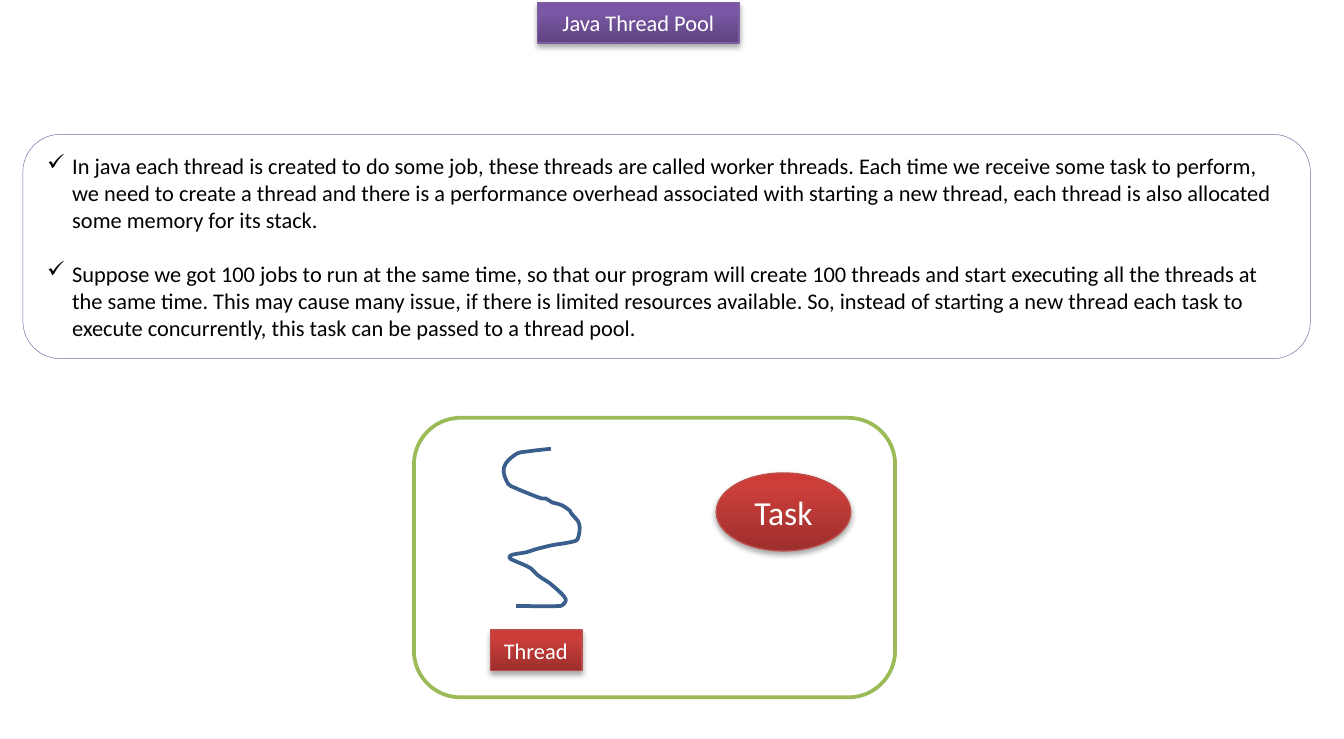
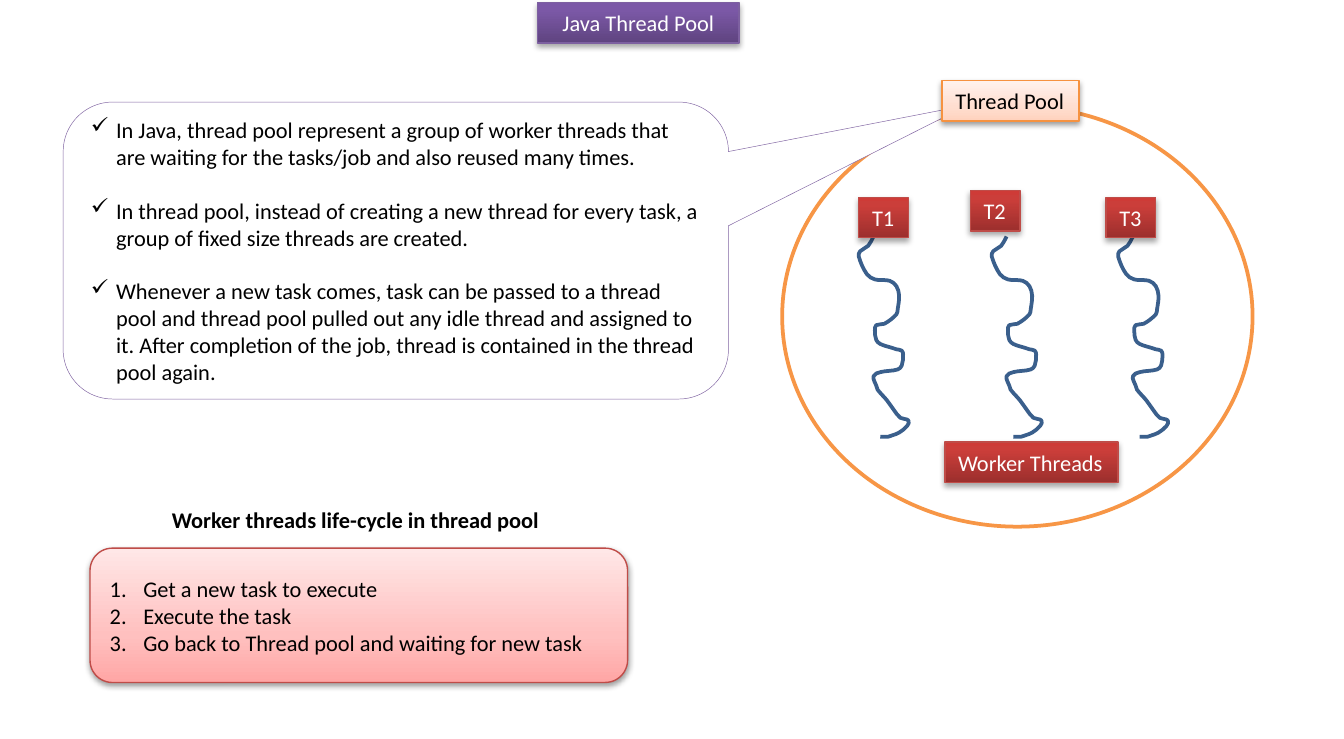
from math import hypot

from lxml.etree import SubElement
from pptx import Presentation
from pptx.dml.color import RGBColor
from pptx.enum.shapes import MSO_SHAPE as SHAPE
from pptx.enum.text import MSO_ANCHOR as ANCHOR, MSO_AUTO_SIZE as FIT, PP_ALIGN as ALIGN
from pptx.oxml.ns import qn
from pptx.util import Inches, Pt

FONT = "Calibri"
COLORS = {
    "white": "FFFFFF", "black": "000000", "thread": "3A5F8C",
    "green": "9BBB59", "orange": "F79646", "violet": "8064A2",
}

# Glossy looks: gradient stops from bottom to top, edge, text, shadow
LOOKS = {
    "purple": {"stops": [(0, "5F4480"), (80, "7B58A6"), (100, "7C57A8")],
               "edge": "7D60A0", "text": "white", "alpha": 35, "drop": 1.8},
    "red": {"stops": [(0, "9C2F2D"), (80, "CB3E3A"), (100, "CE3B37")],
            "edge": "BF4C48", "text": "white", "alpha": 35, "drop": 1.8},
    "peach": {"stops": [(0, "FFD2BD"), (35, "FFDED0"), (100, "FFF2ED")],
              "edge": "F69240", "text": "black", "alpha": 38, "drop": 1.6},
    "pink": {"stops": [(0, "FFA6A5"), (35, "FFC0BF"), (100, "FFE7E7")],
             "edge": "BF4C48", "text": "black", "alpha": 38, "drop": 1.6},
}

# Bullets: XML elements with their attributes, indent and gap in points
CHECK = {"marks": {"a:buFont": {"typeface": "OpenSymbol"}, "a:buChar": {"char": "✓"}},
         "indent": 13.5, "gap": 14.4}
NUMBER = {"marks": {"a:buAutoNum": {"type": "arabicPeriod"}}, "indent": 18, "gap": 0}

# Thread outlines, in inches from their top left corner
SINGLE_THREAD = [
    (.35, 0), (.18, .02), (.09, .04), (0, .14), (.03, .26), (.08, .29), (.2, .34),
    (.28, .37), (.31, .37), (.36, .4), (.4, .41), (.43, .42), (.49, .46), (.5, .48),
    (.56, .56), (.55, .67), (.52, .69), (.35, .72), (.23, .75), (.17, .77), (.06, .79),
    (.04, .81), (.07, .83), (.14, .86), (.2, .89), (.25, .94), (.31, .98), (.34, 1),
    (.42, 1.07), (.46, 1.12), (.45, 1.15), (.42, 1.17), (.09, 1.17)]
WORKER_THREAD = [
    (.11, 0), (.07, .07), (.01, .11), (0, .15), (.06, .28), (.12, .32), (.23, .33),
    (.28, .37), (.3, .44), (.29, .54), (.28, .58), (.19, .65), (.13, .66), (.12, .7),
    (.13, .77), (.16, .8), (.25, .83), (.28, .84), (.32, .85), (.33, .88), (.32, .96),
    (.29, .99), (.16, 1.01), (.11, 1.04), (.13, 1.11), (.14, 1.14), (.21, 1.22),
    (.26, 1.29), (.31, 1.35), (.37, 1.37), (.36, 1.41), (.3, 1.46), (.25, 1.48),
    (.22, 1.49), (.16, 1.49)]

OVERHEAD_POINTS = [
    "In java each thread is created to do some job, these threads are called worker threads. "
    "Each time we receive some task to perform, we need to create a thread and there is a "
    "performance overhead associated with starting a new thread, each thread is also "
    "allocated some memory for its stack.",
    "Suppose we got 100 jobs to run at the same time, so that our program will create 100 "
    "threads and start executing all the threads at the same time. This may cause many issue, "
    "if there is limited resources available. So, instead of starting a new thread each task "
    "to execute concurrently, this task can be passed to a thread pool.",
]
POOL_POINTS = [
    "In Java, thread pool represent a group of worker threads that are waiting for the "
    "tasks/job and also reused many times.",
    "In thread pool, instead of creating a new thread for every task, a group of fixed size "
    "threads are created.",
    "Whenever a new task comes, task can be passed to a thread pool and thread pool pulled out "
    "any idle thread and assigned to it. After completion of the job, thread is contained in "
    "the thread pool again.",
]
LIFE_CYCLE = [
    "Get a new task to execute",
    "Execute the task",
    "Go back to Thread pool and waiting for new task",
]


def set_all(target, values):
    for key, value in values.items():
        setattr(target, key, value)


def rgb(name):
    return RGBColor.from_string(COLORS.get(name, name))


def inches(box):
    return [Inches(length) for length in box]


def within(box, left, top, width, height):
    return box[0] + left, box[1] + top, width, height


def set_edge(shape, color, weight):
    shape.line.color.rgb = rgb(color)
    shape.line.width = Pt(weight)


def add_outlined(slide, kind, box, color, weight):
    """White shape with a plain outline."""
    shape = slide.shapes.add_shape(kind, *inches(box))
    shape.shadow.inherit = False
    shape.fill.solid()
    shape.fill.fore_color.rgb = rgb("white")
    set_edge(shape, color, weight)
    return shape


def add_glossy(slide, kind, box, look):
    """Shape with a gradient, a thin edge and a soft shadow."""
    shape = add_outlined(slide, kind, box, look["edge"], 0.75)
    shape.fill.gradient()
    shape.fill.gradient_angle = 90
    props = shape._element.spPr
    stops = props.find(qn("a:gradFill")).find(qn("a:gsLst"))
    for old in list(stops):
        stops.remove(old)
    for place, color in look["stops"]:
        stop = SubElement(stops, qn("a:gs"), pos=str(place * 1000))
        SubElement(stop, qn("a:srgbClr"), val=color)
    shadow = SubElement(props.find(qn("a:effectLst")), qn("a:outerShdw"), blurRad=str(Pt(3.1)),
                        dist=str(Pt(look["drop"])), dir="5400000", rotWithShape="0")
    tone = SubElement(shadow, qn("a:srgbClr"), val=COLORS["black"])
    SubElement(tone, qn("a:alpha"), val=str(look["alpha"] * 1000))
    return shape


def write(shape, lines, color="black", size=12, bold=False, align=ALIGN.LEFT,
          wrap=True, bullet=None, grow=False):
    frame = shape.text_frame
    set_all(frame, {"word_wrap": wrap,
                    "vertical_anchor": ANCHOR.TOP if grow else ANCHOR.MIDDLE,
                    "auto_size": FIT.SHAPE_TO_FIT_TEXT if grow else FIT.NONE})
    for index, line in enumerate(lines):
        para = frame.add_paragraph() if index else frame.paragraphs[0]
        para.alignment = align
        if bullet:
            if index and bullet["gap"]:
                para.space_before = Pt(bullet["gap"])
            props = para._p.get_or_add_pPr()
            indent = Pt(bullet["indent"])
            props.set("marL", str(indent))
            props.set("indent", str(-indent))
            for tag, attributes in bullet["marks"].items():
                SubElement(props, qn(tag), **attributes)
        run = para.add_run()
        run.text = line
        set_all(run.font, {"name": FONT, "size": Pt(size), "bold": bold})
        run.font.color.rgb = rgb(color)


def add_label(slide, box, text, look="red", kind=SHAPE.RECTANGLE, grow=True, **text_format):
    style = LOOKS[look]
    label = add_glossy(slide, kind, box, style)
    write(label, [text], style["text"], grow=grow, **text_format)


def curve(freeform):
    """Turn the straight segments of a freeform into smooth curves."""
    steps = list(next(freeform._element.iter(qn("a:path"))))
    points = [(int(step[0].get("x")), int(step[0].get("y"))) for step in steps]
    slopes = []
    for before, after in zip(points[:1] + points, points[1:] + points[-1:]):
        dx, dy = after[0] - before[0], after[1] - before[1]
        length = hypot(dx, dy)
        slopes.append((dx / length, dy / length))
    for index, step in enumerate(steps[1:], 1):
        (x1, y1), (x2, y2) = points[index - 1:index + 1]
        (u1, v1), (u2, v2) = slopes[index - 1:index + 1]
        reach = hypot(x2 - x1, y2 - y1) / 3
        step.tag = qn("a:cubicBezTo")
        handles = [(x1 + u1 * reach, y1 + v1 * reach), (x2 - u2 * reach, y2 - v2 * reach)]
        step.remove(step[0])
        for x, y in handles + [(x2, y2)]:
            SubElement(step, qn("a:pt"), x=str(round(x)), y=str(round(y)))


def add_thread(slide, left, top, outline):
    points = [(Inches(left + x), Inches(top + y)) for x, y in outline]
    builder = slide.shapes.build_freeform(*points[0])
    builder.add_line_segments(points[1:], close=False)
    thread = builder.convert_to_shape()
    curve(thread)
    thread.shadow.inherit = False
    thread.fill.background()
    set_edge(thread, "thread", 2)


def add_title(slide):
    add_label(slide, (4, 0.02, 1.5, 0.3), "Java Thread Pool", "purple", align=ALIGN.CENTER)


def draw_thread_and_task(slide, box):
    add_outlined(slide, SHAPE.ROUNDED_RECTANGLE, box, "green", 2)
    add_thread(slide, box[0] + 0.67, box[1] + 0.23, SINGLE_THREAD)
    add_label(slide, within(box, 2.25, 0.41, 1, 0.58), "Task", kind=SHAPE.OVAL,
              grow=False, size=18, align=ALIGN.CENTER)
    add_label(slide, within(box, 0.57, 1.58, 0.68, 0.3), "Thread", wrap=False)


def draw_points(slide, box, points, kind=SHAPE.ROUNDED_RECTANGLE, adjustments=()):
    panel = add_outlined(slide, kind, box, "violet", 0.25)
    for index, value in enumerate(adjustments):
        panel.adjustments[index] = value
    write(panel, points, bullet=CHECK)


def draw_pool(slide, box):
    add_outlined(slide, SHAPE.OVAL, box, "orange", 2)
    # Each worker: thread left, label left, label top
    workers = [(0.57, 0.57, 0.68), (1.56, 1.4, 0.63), (2.5, 2.41, 0.68)]
    for number, (thread_left, label_left, label_top) in enumerate(workers, 1):
        add_thread(slide, box[0] + thread_left, box[1] + 0.97, WORKER_THREAD)
        add_label(slide, within(box, label_left, label_top, 0.37, 0.3), f"T{number}", wrap=False)
    add_label(slide, within(box, 1.21, 2.5, 1.29, 0.3), "Worker Threads", wrap=False)


def draw_life_cycle(slide, box):
    heading = slide.shapes.add_textbox(*inches(within(box, 0.51, -0.36, 2.97, 0.3)))
    write(heading, ["Worker threads life-cycle in thread pool"], bold=True, wrap=False, grow=True)
    steps = add_glossy(slide, SHAPE.ROUNDED_RECTANGLE, box, LOOKS["pink"])
    write(steps, LIFE_CYCLE, bullet=NUMBER)


def build_overhead_slide(slide):
    draw_thread_and_task(slide, (3.08, 3.11, 3.58, 2.08))
    add_title(slide)
    draw_points(slide, (0.17, 1, 9.58, 1.67), OVERHEAD_POINTS)


def build_pool_slide(slide):
    pool = (5.82, 0.79, 3.5, 3.13)
    add_title(slide)
    draw_pool(slide, pool)
    draw_points(slide, (0.47, 0.76, 4.95, 2.21), POOL_POINTS,
                SHAPE.ROUNDED_RECTANGULAR_CALLOUT, (0.86, -0.49))
    # The pool name covers the tip of the callout
    add_label(slide, within(pool, 1.19, -0.19, 1.02, 0.3), "Thread Pool", "peach", wrap=False)
    draw_life_cycle(slide, (0.67, 4.08, 4, 1))


def main():
    deck = Presentation()
    set_all(deck, {"slide_width": Inches(10), "slide_height": Inches(5.5)})
    for build in (build_overhead_slide, build_pool_slide):
        build(deck.slides.add_slide(deck.slide_layouts[6]))
    deck.save("out.pptx")


if __name__ == "__main__":
    main()
